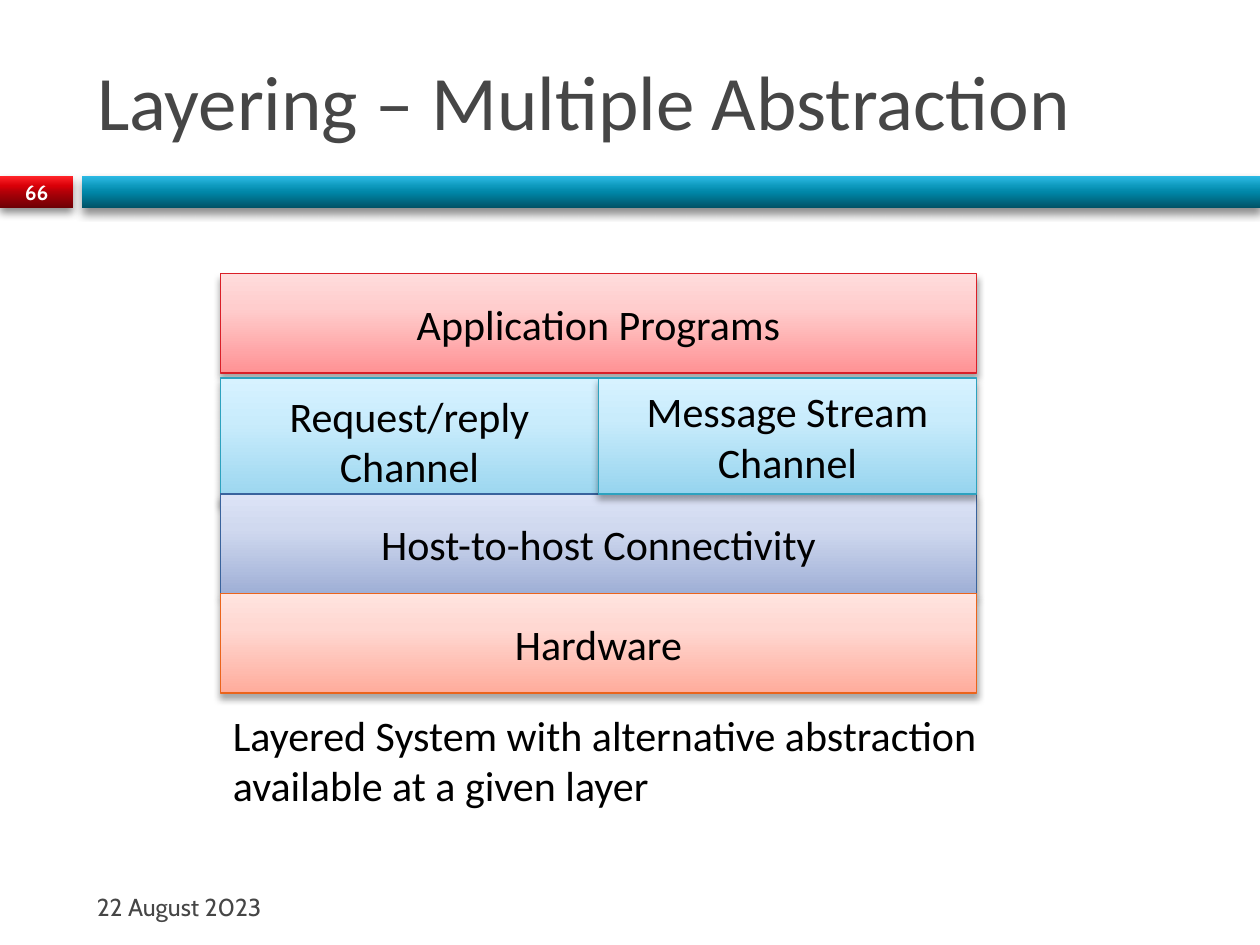
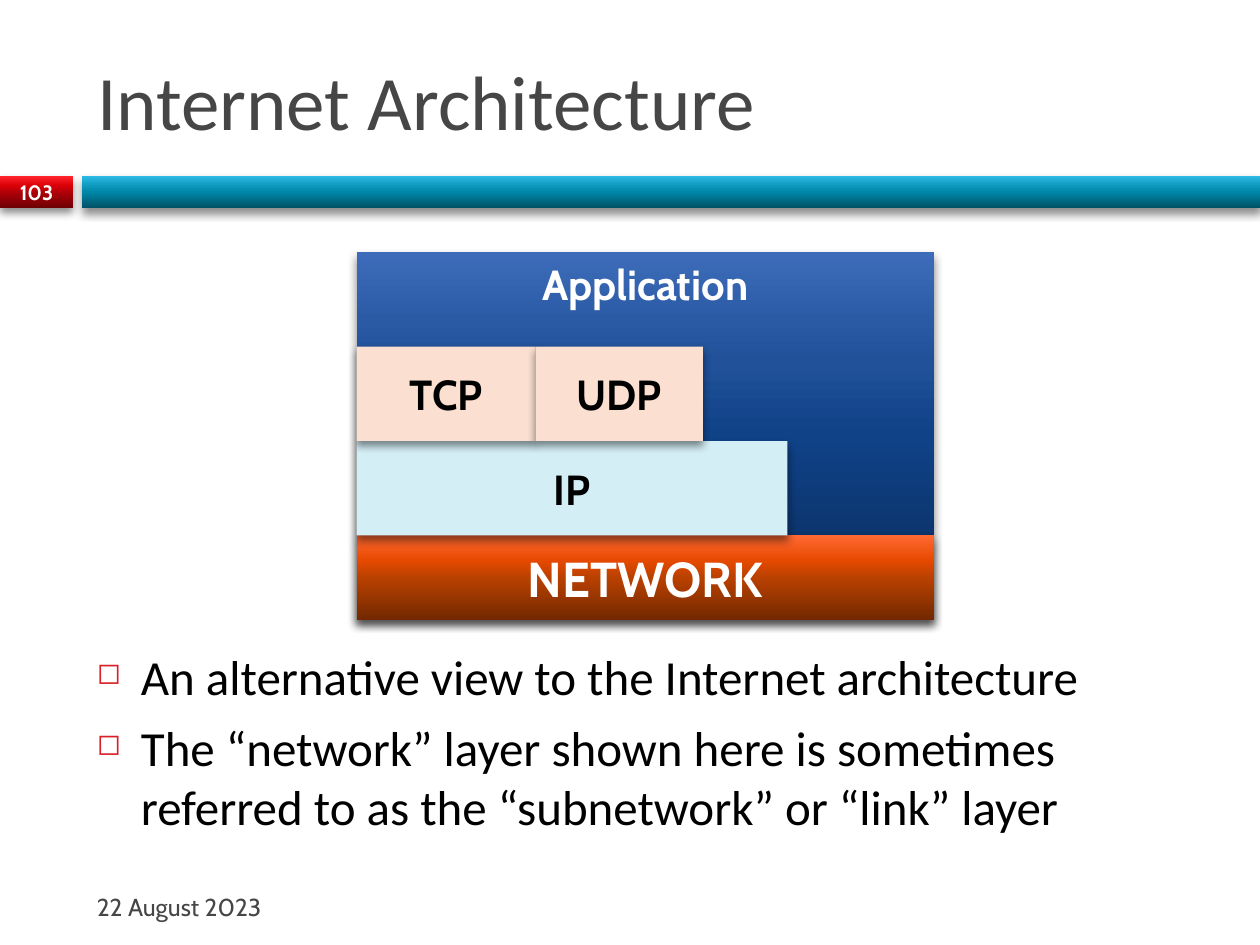
from lxml import etree
from pptx import Presentation
from pptx.dml.color import RGBColor
from pptx.enum.shapes import MSO_SHAPE
from pptx.enum.text import MSO_ANCHOR, PP_ALIGN
from pptx.oxml.ns import qn
from pptx.util import Inches, Pt

HEADING, BODY = "Calibri", "Cabin"
GREY, BLACK, WHITE, RED = "464646", "000000", "FFFFFF", "DA1F28"
RED_BAND = ["6D0005", "B00008", "DA0008", "FF2429"]
TEAL_BAND = ["005367", "0086A7", "0E9ABE", "2CB9E3"]
BLUE_BLOCK = ["072956", "104288", "205199", "3D6BB9"]
ORANGE_BLOCK = ["732800", "B94100", "E64900", "FF6933"]
PINK_TINT = ["FF9294", "FFCDCD", "FFDCDC"]
CYAN_TINT = ["96D4EE", "C9ECFC", "D7F2FF"]
BLUE_TINT = ["9FAFD6", "D0D9EF", "DCE3F6"]
ORANGE_TINT = ["FFAC9C", "FFD8D2", "FFE4DF"]
# Gradient stop positions in percent, by number of colours
STOPS = {3: [0, 65, 100], 4: [0, 50, 70, 100]}


def add_box(slide, at, colours, line=None):
    """Add a shadowed rectangle: one colour is solid, more run bottom to top."""
    box = slide.shapes.add_shape(MSO_SHAPE.RECTANGLE, *map(Inches, at))
    if len(colours) == 1:
        box.fill.solid()
        box.fill.fore_color.rgb = RGBColor.from_string(colours[0])
    else:
        box.fill.gradient()
        box.fill.gradient_angle = 90
        stops = box._element.spPr.find(".//" + qn("a:gsLst"))
        for stop in list(stops):
            stops.remove(stop)
        for position, colour in zip(STOPS[len(colours)], colours):
            stop = etree.SubElement(stops, qn("a:gs"), pos=str(position * 1000))
            etree.SubElement(stop, qn("a:srgbClr"), val=colour)
    if line:
        box.line.color.rgb = RGBColor.from_string(line)
        box.line.width = Pt(0.75)
    else:
        box.line.fill.background()
    # Outlined boxes carry a softer shadow
    blur, opacity = (4, 35) if line else (5, 45)
    box.shadow.inherit = False
    shadow = etree.SubElement(
        box._element.spPr.find(qn("a:effectLst")), qn("a:outerShdw"),
        blurRad=str(Pt(blur)), dist=str(Pt(3)), dir="5400000", rotWithShape="0")
    colour = etree.SubElement(shadow, qn("a:srgbClr"), val=BLACK)
    etree.SubElement(colour, qn("a:alpha"), val=str(opacity * 1000))
    return box


def write(shape, lines, font, size, colour, bold=False,
          align=PP_ALIGN.LEFT, anchor=MSO_ANCHOR.MIDDLE):
    """Fill a shape with one paragraph per line, all in one style."""
    frame = shape.text_frame
    frame.word_wrap = True
    frame.vertical_anchor = anchor
    frame.text = "\n".join(lines)
    for paragraph in frame.paragraphs:
        paragraph.alignment = align
        style = paragraph.runs[0].font
        style.name, style.size, style.bold = font, Pt(size), bold
        style.color.rgb = RGBColor.from_string(colour)


prs = Presentation()
prs.slide_width, prs.slide_height = Inches(10), Inches(7.5)

# Shared frame: title, bands, slide number and date
slides = []
for title, number in [("Layering – Multiple Abstraction", "66"),
                      ("Internet Architecture", "103")]:
    slide = prs.slides.add_slide(prs.slide_layouts[5])
    slides.append(slide)
    add_box(slide, (0, 1.4, 0.58, 0.25), RED_BAND)
    add_box(slide, (0.65, 1.4, 9.35, 0.25), TEAL_BAND)
    heading = slide.shapes.title
    heading.left, heading.top = Inches(0.67), Inches(0.25)
    heading.width, heading.height = Inches(8.92), Inches(1.08)
    write(heading, [title], HEADING, 44, GREY)
    date = slide.shapes.add_textbox(Inches(0.67), Inches(7), Inches(2.92), Inches(0.4))
    write(date, ["22 August 2023"], BODY, 14, GREY)
    page = slide.shapes.add_textbox(Inches(0), Inches(1.39), Inches(0.58), Inches(0.27))
    page.text_frame.margin_left = page.text_frame.margin_right = 0
    page.text_frame.margin_top = page.text_frame.margin_bottom = 0
    write(page, [number], BODY, 11.9, WHITE, True, PP_ALIGN.CENTER)
layering, internet = slides

# Layered system: full-width layers around two half-width channels
left, width, height = 1.75, 6, 0.79
half = width / 2
layers = [
    ("Application Programs", (left, 2.17, width, height), PINK_TINT, RED),
    ("Request/reply Channel", (left, 3, half, 1), CYAN_TINT, "2DA2BF"),
    ("Host-to-host Connectivity", (left, 3.92, width, height), BLUE_TINT, "39639D"),
    ("Hardware", (left, 3.92 + height, width, height), ORANGE_TINT, "EB641B"),
    ("Message Stream Channel", (left + half, 3, half, 0.92), CYAN_TINT, "2DA2BF"),
]
for label, at, colours, line in layers:
    write(add_box(layering, at, colours, line), [label], HEADING, 24, BLACK,
          align=PP_ALIGN.CENTER)
caption = layering.shapes.add_textbox(Inches(left), Inches(5.58), Inches(7.33), Inches(0.91))
write(caption, ["Layered System with alternative abstraction available at a given layer"],
      HEADING, 24, BLACK, anchor=MSO_ANCHOR.TOP)

# Internet architecture: protocol blocks stacked on the application block
left, width, row = 2.83, 4.58, 0.75
top, middle = MSO_ANCHOR.TOP, MSO_ANCHOR.MIDDLE
blocks = [
    ("Application", (left, 2, width, 2.92), BLUE_BLOCK, 24, WHITE, top),
    ("NETWORK", (left, 2 + 3 * row, width, 0.67), ORANGE_BLOCK, 28, WHITE, middle),
    ("IP", (left, 2 + 2 * row, 3.42, row), ["D3EEF5"], 24, BLACK, middle),
    ("TCP", (left, 2 + row, 1.42, row), ["FBE0D1"], 24, BLACK, middle),
    ("UDP", (left + 1.42, 2 + row, 1.33, row), ["FBE0D1"], 24, BLACK, middle),
]
for label, at, colours, size, colour, anchor in blocks:
    write(add_box(internet, at, colours), [label], BODY, size, colour, True,
          PP_ALIGN.CENTER, anchor)

notes = internet.shapes.add_textbox(Inches(0.67), Inches(5.08), Inches(8.92), Inches(1.58))
write(notes, ["An alternative view to the Internet architecture",
              "The “network” layer shown here is sometimes referred to as the "
              "“subnetwork” or “link” layer"],
      HEADING, 28, BLACK, anchor=top)
for paragraph in notes.text_frame.paragraphs:
    paragraph.space_before = Pt(7)
    properties = paragraph._p.get_or_add_pPr()
    properties.set("marL", str(Inches(0.35)))
    properties.set("indent", str(Inches(-0.35)))
    bullet_colour = etree.SubElement(properties, qn("a:buClr"))
    etree.SubElement(bullet_colour, qn("a:srgbClr"), val=RED)
    etree.SubElement(properties, qn("a:buSzPct"), val="60000")
    etree.SubElement(properties, qn("a:buChar"), char="◻")

prs.save("out.pptx")
